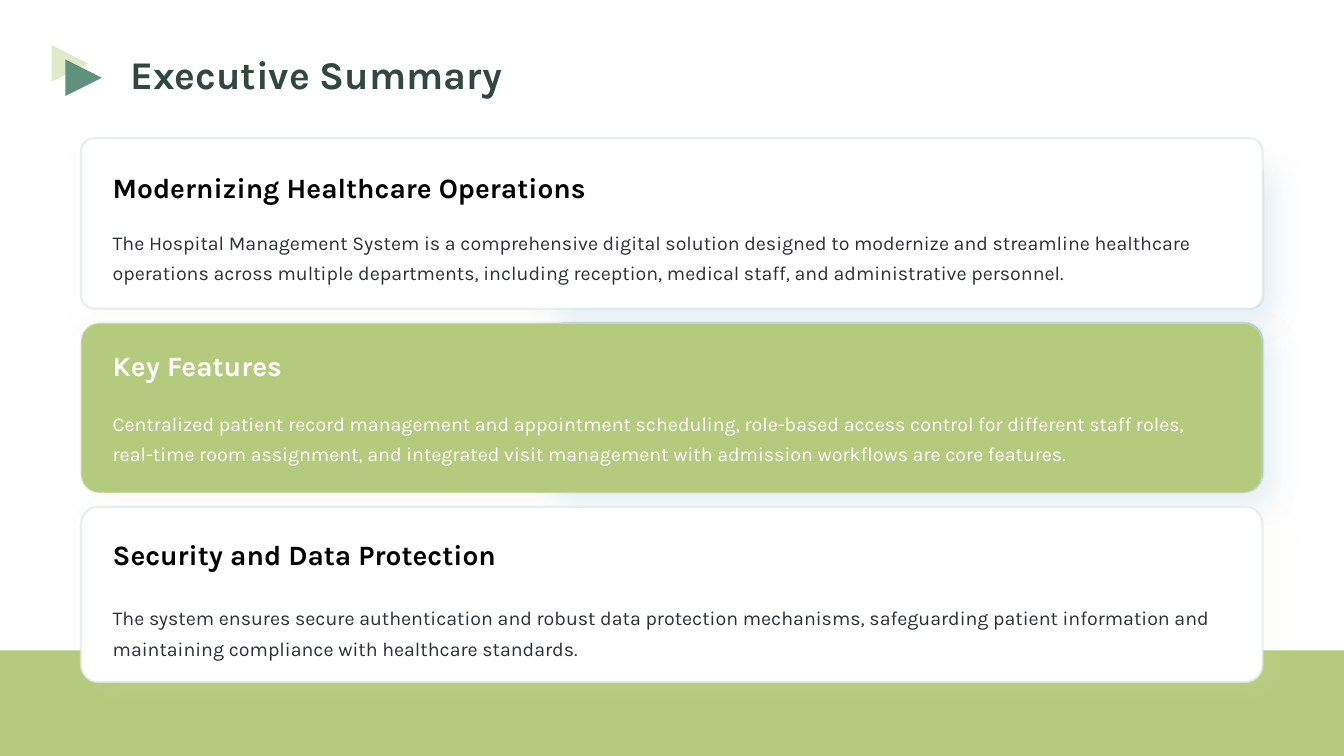
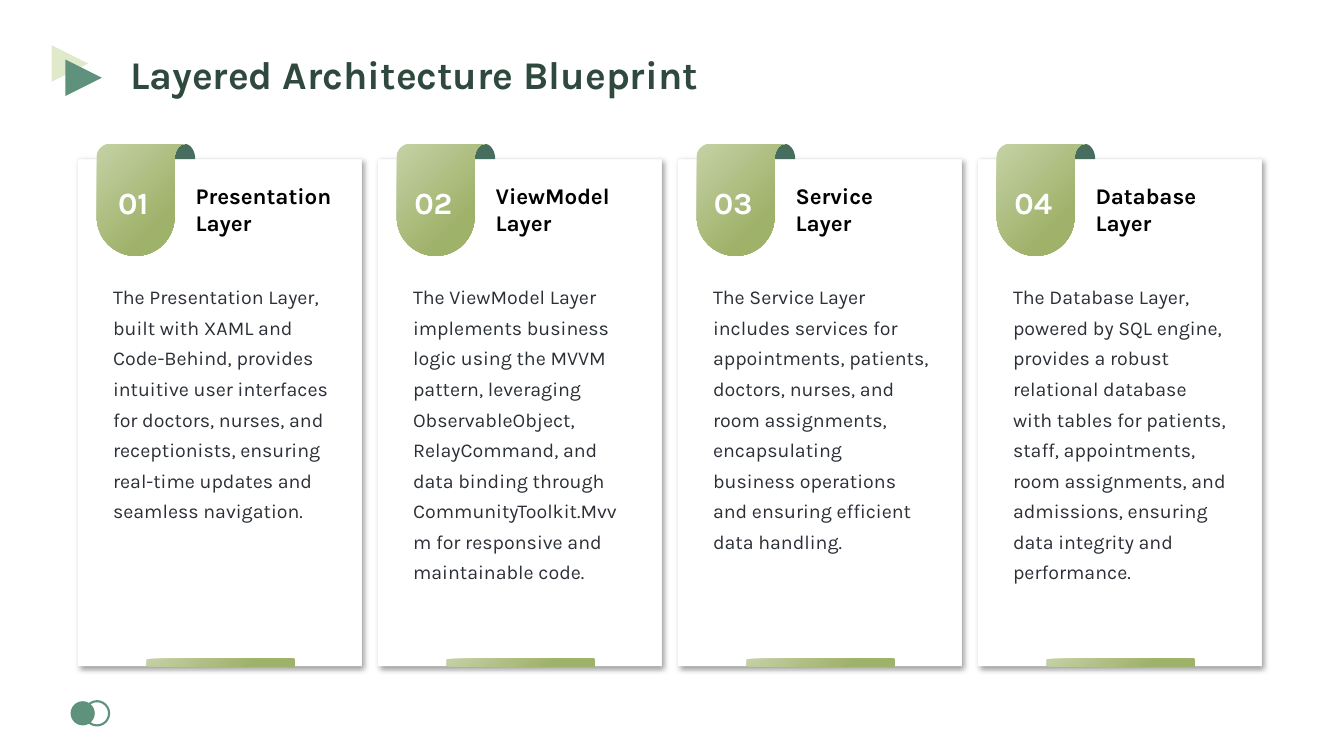
from math import cos, radians, sin

from lxml.etree import SubElement
from pptx import Presentation
from pptx.dml.color import RGBColor
from pptx.enum.shapes import MSO_SHAPE
from pptx.enum.text import MSO_ANCHOR, PP_ALIGN
from pptx.oxml import parse_xml
from pptx.oxml.ns import nsdecls, qn
from pptx.util import Cm, Pt

WHITE, BLACK, INK = "FFFFFF", "000000", "2B2F36"
GREEN, PALE_GREEN, TEAL, DARK_TEAL = "B4CA7C", "E0E9C9", "5E927D", "466D5E"
TITLE_COLOR, PANEL_TEAL = "2F493E", "079F92"
BORDER, BLUE_BORDER, BLUE_SHADOW = "DEEAE5", "A0D1FA", "1E69D5"
GRADIENT = ("C5D1A5", "9FB26A")

TITLE = {"size": Pt(28), "bold": True}
HEADING = {"size": Pt(20), "bold": True}
LAYER_NAME = {"size": Pt(16), "bold": True}
NUMBER = {"size": Pt(22), "bold": True}
BODY = {"size": Pt(14)}


def style(shape, fill=None, line=None, shadow=None):
    """fill: colour or gradient pair; line: colour, points, opacity %;
    shadow: colour, opacity %, blur and distance in points."""
    if isinstance(fill, tuple):
        shape.fill.gradient()
        shape.fill.gradient_angle = 315
        for stop, color, position in zip(shape.fill.gradient_stops, fill, (0, 0.71)):
            stop.color.rgb = RGBColor.from_string(color)
            stop.position = position
    elif fill:
        shape.fill.solid()
        shape.fill.fore_color.rgb = RGBColor.from_string(fill)
    else:
        shape.fill.background()
    if line:
        color, width, opacity = line
        shape.line.color.rgb = RGBColor.from_string(color)
        shape.line.width = Pt(width)
        line_color = shape.element.spPr.xpath("a:ln//a:srgbClr")[0]
        SubElement(line_color, qn("a:alpha")).set("val", str(opacity * 1000))
    else:
        shape.line.fill.background()
    shape.shadow.inherit = False
    if shadow:
        color, opacity, blur, distance = shadow
        shape.element.spPr.xpath("a:effectLst")[0].append(parse_xml(
            f'<a:outerShdw {nsdecls("a")} blurRad="{Pt(blur)}" dist="{Pt(distance)}" '
            f'dir="2700000" algn="tl" rotWithShape="0"><a:srgbClr val="{color}">'
            f'<a:alpha val="{opacity * 1000}"/></a:srgbClr></a:outerShdw>'))


def write(box, text, font_format, color, align=PP_ALIGN.LEFT, spacing=1.0,
          anchor=MSO_ANCHOR.TOP, margins=(0.25, 0.13, 0.25, 0.13)):
    """Margins are left, top, right, bottom in centimetres."""
    frame = box.text_frame
    frame.word_wrap = True
    frame.vertical_anchor = anchor
    for side, margin in zip(("left", "top", "right", "bottom"), margins):
        setattr(frame, f"margin_{side}", Cm(margin))
    para = frame.paragraphs[0]
    para.alignment = align
    para.line_spacing = spacing
    span = para.add_run()
    span.text = text
    for name, value in {"name": "Karla", **font_format}.items():
        setattr(span.font, name, value)
    span.font.color.rgb = RGBColor.from_string(color)


deck = Presentation()
deck.slide_width, deck.slide_height = Cm(33.87), Cm(19.05)

# Title and its arrow mark, shared by both slides
slides = []
for title in ("Executive Summary", "Layered Architecture Blueprint"):
    slide = deck.slides.add_slide(deck.slide_layouts[6])
    for left, top, color in ((1.3, 1.14, PALE_GREEN), (1.65, 1.5, TEAL)):
        arrow = slide.shapes.add_shape(
            MSO_SHAPE.ISOSCELES_TRIANGLE, Cm(left), Cm(top), Cm(0.92), Cm(0.92))
        arrow.rotation = 90
        style(arrow, color)
    box = slide.shapes.add_textbox(Cm(3.03), Cm(1.14), Cm(29.95), Cm(1.23))
    write(box, title, TITLE, TITLE_COLOR, PP_ALIGN.JUSTIFY)
    slides.append(slide)
summary, blueprint = slides

# Executive summary: band and panels
band = summary.shapes.add_shape(
    MSO_SHAPE.RECTANGLE, 0, Cm(16.39), deck.slide_width, Cm(2.66))
style(band, GREEN)

BLUE_GLOW, GREEN_GLOW = (BLUE_SHADOW, 10, 20, 10.6), (PALE_GREEN, 10, 20, 10.6)
panels = [
    # left, top, width, height, corner, fill, line, shadow
    (13.77, 8.13, 18.06, 4.27, 0.11, PANEL_TEAL, (BLUE_BORDER, 1.5, 43), BLUE_GLOW),
    (13.77, 4.06, 18.06, 3.71, 0.08, WHITE, (BLUE_BORDER, 1.5, 43), BLUE_GLOW),
    (2.04, 3.48, 29.78, 4.3, 0.08, WHITE, (BORDER, 1.5, 67), GREEN_GLOW),
    (2.04, 8.14, 29.78, 4.28, 0.11, GREEN, (BORDER, 1.5, 43), GREEN_GLOW),
    (2.04, 12.77, 29.78, 4.42, 0.1, WHITE, (BORDER, 1.5, 67), GREEN_GLOW),
]
for *place, corner, fill, line, shadow in panels:
    panel = summary.shapes.add_shape(MSO_SHAPE.ROUNDED_RECTANGLE, *map(Cm, place))
    panel.adjustments[0] = corner
    style(panel, fill, line, shadow)

topics = [
    (4.17, 5.51, BLACK, INK, "Modernizing Healthcare Operations",
     "The Hospital Management System is a comprehensive digital solution designed to "
     "modernize and streamline healthcare operations across multiple departments, "
     "including reception, medical staff, and administrative personnel."),
    (8.66, 10.07, WHITE, WHITE, "Key Features",
     "Centralized patient record management and appointment scheduling, role-based "
     "access control for different staff roles, real-time room assignment, and "
     "integrated visit management with admission workflows are core features."),
    (13.41, 14.97, BLACK, INK, "Security and Data Protection",
     "The system ensures secure authentication and robust data protection mechanisms, "
     "safeguarding patient information and maintaining compliance with healthcare "
     "standards."),
]
for heading_top, body_top, heading_color, body_color, heading, body in topics:
    box = summary.shapes.add_textbox(Cm(2.59), Cm(heading_top), Cm(28.47), Cm(0.86))
    write(box, heading, HEADING, heading_color)
    box = summary.shapes.add_textbox(Cm(2.59), Cm(body_top), Cm(28.47), Cm(1.6))
    write(box, body, BODY, body_color, spacing=1.3)

# Layered architecture: page mark and four cards
for left, fill, line in ((1.78, TEAL, None), (2.14, None, (TEAL, 1.5, 100))):
    dot = blueprint.shapes.add_shape(
        MSO_SHAPE.OVAL, Cm(left), Cm(17.67), Cm(0.61), Cm(0.61))
    style(dot, fill, line)

layers = [
    ("Presentation Layer",
     "The Presentation Layer, built with XAML and Code-Behind, provides intuitive user "
     "interfaces for doctors, nurses, and receptionists, ensuring real-time updates "
     "and seamless navigation."),
    ("ViewModel Layer",
     "The ViewModel Layer implements business logic using the MVVM pattern, leveraging "
     "ObservableObject, RelayCommand, and data binding through CommunityToolkit.Mvvm "
     "for responsive and maintainable code."),
    ("Service Layer",
     "The Service Layer includes services for appointments, patients, doctors, nurses, "
     "and room assignments, encapsulating business operations and ensuring efficient "
     "data handling."),
    ("Database Layer",
     "The Database Layer, powered by SQL engine, provides a robust relational database "
     "with tables for patients, staff, appointments, room assignments, and admissions, "
     "ensuring data integrity and performance."),
]
# Arcs joined by straight edges: centre x from the card's left, centre y,
# radius x, radius y, start and end angle
FOLD = [(2.7, 4.01, 0.26, 0.38, 180, 360)]
RIBBON = [(0.81, 3.96, 0.33, 0.33, 180, 270),
          (2.7, 4.01, 0.26, 0.38, 270, 180),
          (1.46, 5.47, 0.98, 0.98, 0, 180)]
ARC_STEPS = 24

for index, (name, description) in enumerate(layers):
    left = 1.96 + index * 7.56
    card = blueprint.shapes.add_shape(
        MSO_SHAPE.RECTANGLE, Cm(left), Cm(4.01), Cm(7.16), Cm(12.78))
    style(card, WHITE, (BORDER, 0.25, 46), (BLACK, 40, 4, 2.1))

    bar = blueprint.shapes.add_shape(
        MSO_SHAPE.ROUNDED_RECTANGLE, Cm(left + 1.73), Cm(16.6), Cm(3.74), Cm(0.19))
    style(bar, GRADIENT)

    for arcs, fill in ((FOLD, DARK_TEAL), (RIBBON, GRADIENT)):
        points = []
        for center_x, center_y, radius_x, radius_y, start, end in arcs:
            for step in range(ARC_STEPS + 1):
                angle = radians(start + (end - start) * step / ARC_STEPS)
                points.append((Cm(left + center_x + radius_x * cos(angle)),
                               Cm(center_y + radius_y * sin(angle))))
        outline = blueprint.shapes.build_freeform(*points[0])
        outline.add_line_segments(points[1:])
        ribbon = outline.convert_to_shape()
        style(ribbon, fill)
    write(ribbon, f"{index + 1:02}", NUMBER, WHITE, PP_ALIGN.CENTER,
          anchor=MSO_ANCHOR.MIDDLE, margins=(0.13, 0.25, 0.51, 0.13))

    box = blueprint.shapes.add_textbox(Cm(left + 2.97), Cm(4.6), Cm(3.48), Cm(1.85))
    write(box, name, LAYER_NAME, BLACK, PP_ALIGN.JUSTIFY, margins=(0, 0, 0, 0))
    box = blueprint.shapes.add_textbox(Cm(left + 0.89), Cm(7.01), Cm(5.44), Cm(8.76))
    write(box, description, BODY, INK, spacing=1.3, margins=(0, 0, 0, 0))

deck.save("out.pptx")
